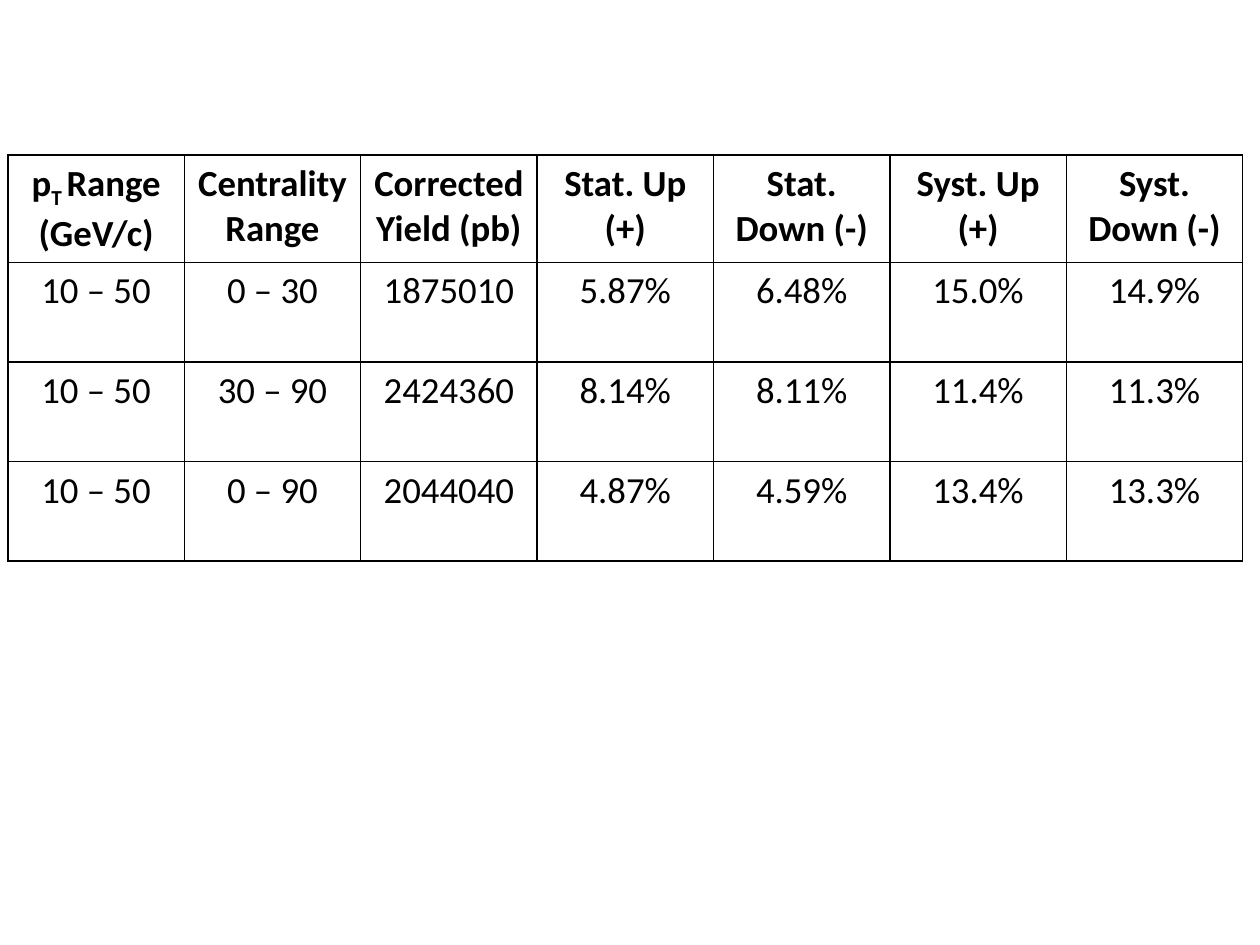
from typing import NamedTuple

from pptx import Presentation
from pptx.dml.color import RGBColor
from pptx.enum.text import PP_ALIGN as Align
from pptx.oxml import parse_xml
from pptx.oxml.ns import nsdecls
from pptx.table import _Cell as Cell
from pptx.util import Pt

BLACK = "000000"
COLUMN_WIDTH, ROW_HEIGHT = 100.8, 56.88
TABLE_LEFT, TABLE_TOP = 4.5, 88.6


class Piece(NamedTuple):
    """A stretch of text, raised or lowered by a percentage."""
    text: str
    baseline: int = 0


class Measurement(NamedTuple):
    """One row of yields with its uncertainties."""
    pt_range: str
    centrality: str
    corrected_yield: str
    stat_up: str
    stat_down: str
    syst_up: str
    syst_down: str


HEADINGS = [
    [Piece("p"), Piece("T ", -25), Piece("Range (GeV/c)")],
    *([Piece(label)] for label in (
        "Centrality Range", "Corrected Yield (pb)", "Stat. Up (+)",
        "Stat. Down (-)", "Syst. Up (+)", "Syst. Down (-)")),
]
MEASUREMENTS = [
    Measurement("10 – 50", "0 – 30", "1875010", "5.87%", "6.48%", "15.0%", "14.9%"),
    Measurement("10 – 50", "30 – 90", "2424360", "8.14%", "8.11%", "11.4%", "11.3%"),
    Measurement("10 – 50", "0 – 90", "2044040", "4.87%", "4.59%", "13.4%", "13.3%"),
]


def color(hex_code: str) -> RGBColor:
    """Turn a hex string into a colour."""
    return RGBColor.from_string(hex_code)


def add_borders(cell: Cell, hex_code: str, width: float) -> None:
    """Draw a solid line on all four sides of a cell."""
    properties = cell._tc.get_or_add_tcPr()
    for position, side in enumerate(("lnL", "lnR", "lnT", "lnB")):
        properties.insert(position, parse_xml(
            f'<a:{side} {nsdecls("a")} w="{Pt(width)}"><a:solidFill>'
            f'<a:srgbClr val="{hex_code}"/></a:solidFill></a:{side}>'))


def fill_cell(cell: Cell, pieces: list[Piece], bold: bool) -> None:
    """Write centred text into a bordered cell without fill."""
    cell.fill.background()
    add_borders(cell, BLACK, 1)
    paragraph = cell.text_frame.paragraphs[0]
    paragraph.alignment = Align.CENTER
    font = paragraph.font
    font.name, font.size, font.bold = "Calibri", Pt(21), bold
    font.color.rgb = color(BLACK)
    for piece in pieces:
        run = paragraph.add_run()
        run.text = piece.text
        # Table cells do not pick up paragraph fonts in every renderer.
        run.font.name, run.font.size, run.font.bold = font.name, font.size, bold
        run.font.color.rgb = color(BLACK)
        if piece.baseline:
            run.font._element.set("baseline", str(piece.baseline * 1000))


def main() -> None:
    """Build the slide with the table of yields."""
    deck = Presentation()
    deck.slide_width, deck.slide_height = Pt(720), Pt(540)
    slide = deck.slides.add_slide(deck.slide_layouts[6])

    rows = [HEADINGS] + [[[Piece(value)] for value in row] for row in MEASUREMENTS]
    yields = slide.shapes.add_table(
        len(rows), len(HEADINGS), Pt(TABLE_LEFT), Pt(TABLE_TOP),
        Pt(COLUMN_WIDTH * len(HEADINGS)), Pt(ROW_HEIGHT * len(rows))).table
    yields.horz_banding = False
    for column in yields.columns:
        column.width = Pt(COLUMN_WIDTH)
    for row_index, row in enumerate(rows):
        yields.rows[row_index].height = Pt(ROW_HEIGHT)
        for column_index, pieces in enumerate(row):
            fill_cell(yields.cell(row_index, column_index), pieces, row_index == 0)

    deck.save("out.pptx")


main()
